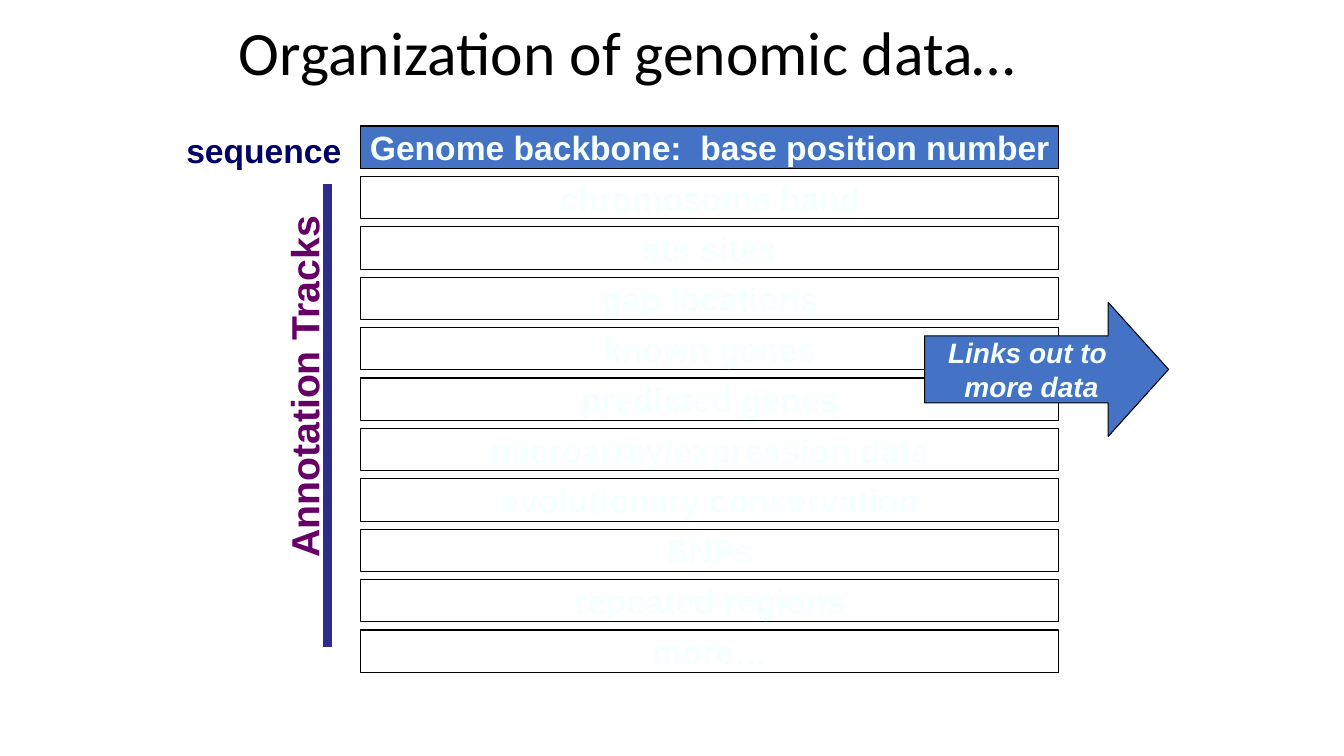
"""Builds a slide on how genomic data is organised into annotation tracks."""
from lxml import etree
from pptx import Presentation
from pptx.dml.color import RGBColor
from pptx.enum.shapes import MSO_CONNECTOR as Connector, MSO_SHAPE as Preset
from pptx.enum.text import MSO_ANCHOR as Anchor, MSO_AUTO_SIZE as AutoSize, PP_ALIGN as Align
from pptx.oxml.ns import qn
from pptx.util import Inches, Pt

COLORS = {
    "black": "000000",
    "white": "FFFFFF",
    "blue": "4472C4",
    "pale": "F6FFFF",
    "navy": "000066",
    "purple": "660066",
    "bar": "2D2D89",
}
TRACKS = [
    "chromosome band", "sts sites", "gap locations", "known genes", "predicted genes",
    "microarray/expression data", "evolutionary conservation", "SNPs", "repeated regions", "more…",
]
ROW_LEFT, ROW_TOP, ROW_WIDTH, ROW_HEIGHT, ROW_STEP = 3.58, 1.25, 6.92, 0.42, 0.5


class SlideBuilder:
    def __init__(self, slide):
        self.slide = slide

    @staticmethod
    def color(name):
        return RGBColor.from_string(COLORS[name])

    def set_text(self, frame, lines, size, color, font="Arial", bold=True, italic=False, align=Align.LEFT):
        frame.text = "\n".join(lines)
        for paragraph in frame.paragraphs:
            paragraph.alignment = align
            paragraph.font.name = font
            paragraph.font.size = Pt(size)
            paragraph.font.bold = bold
            paragraph.font.italic = italic
            paragraph.font.color.rgb = self.color(color)

    def title(self, text, left, top, width, height):
        title = self.slide.shapes.title
        title.left, title.top, title.width, title.height = map(Inches, (left, top, width, height))
        frame = title.text_frame
        frame.auto_size = AutoSize.NONE
        frame.vertical_anchor = Anchor.MIDDLE
        self.set_text(frame, [text], 44, "black", font="Calibri", bold=False)
        frame.paragraphs[0].line_spacing = 0.9

    def box(self, parent, preset, place, lines, fill, size=24, italic=False):
        box = parent.add_shape(preset, *map(Inches, place))
        box.shadow.inherit = False
        box.fill.solid()
        box.fill.fore_color.rgb = self.color(fill)
        box.line.color.rgb = self.color("black")
        box.line.width = Pt(0.75)
        frame = box.text_frame
        frame.word_wrap = False
        frame.vertical_anchor = Anchor.MIDDLE
        self.set_text(frame, lines, size, "pale", italic=italic, align=Align.CENTER)
        return box

    def row(self, parent, index, text, fill):
        place = ROW_LEFT, ROW_TOP + index * ROW_STEP, ROW_WIDTH, ROW_HEIGHT
        self.box(parent, Preset.RECTANGLE, place, [text], fill)

    def label(self, parent, place, text, size, color, rotation=0):
        label = parent.add_textbox(*map(Inches, place))
        label.rotation = rotation
        label.text_frame.word_wrap = False
        label.text_frame.auto_size = AutoSize.SHAPE_TO_FIT_TEXT
        self.set_text(label.text_frame, [text], size, color)

    def bar(self, parent, x, top, bottom):
        bar = parent.add_connector(Connector.STRAIGHT, *map(Inches, (x, top, x, bottom)))
        bar.line.color.rgb = self.color("bar")
        bar.line.width = Pt(6)
        etree.SubElement(bar._element.spPr, qn("a:effectLst"))


def main():
    deck = Presentation()
    deck.slide_width, deck.slide_height = Inches(13.33), Inches(7.5)
    slide = deck.slides.add_slide(deck.slide_layouts[5])
    builder = SlideBuilder(slide)
    shapes = slide.shapes

    builder.title("Organization of genomic data…", 2.27, 0.05, 9.15, 1)
    builder.row(shapes, 0, "Genome backbone:  base position number", "blue")
    builder.label(shapes, (1.75, 1.24, 1.74, 0.5), "sequence", 24, "navy")

    annotation = shapes.add_group_shape().shapes
    builder.label(annotation, (1.2, 3.53, 3.63, 0.57), "Annotation Tracks", 28, "purple", rotation=270)
    builder.bar(annotation, 3.25, 1.83, 6.42)

    tracks = shapes.add_group_shape().shapes
    for index, track in enumerate(TRACKS, start=1):
        builder.row(tracks, index, track, "white")

    links = builder.box(shapes, Preset.RIGHT_ARROW, (9.17, 3, 2.42, 1.33),
                        ["Links out to ", "more data"], "blue", size=20, italic=True)
    links.adjustments[0], links.adjustments[1] = 0.5, 0.45
    deck.save("out.pptx")


if __name__ == "__main__":
    main()
